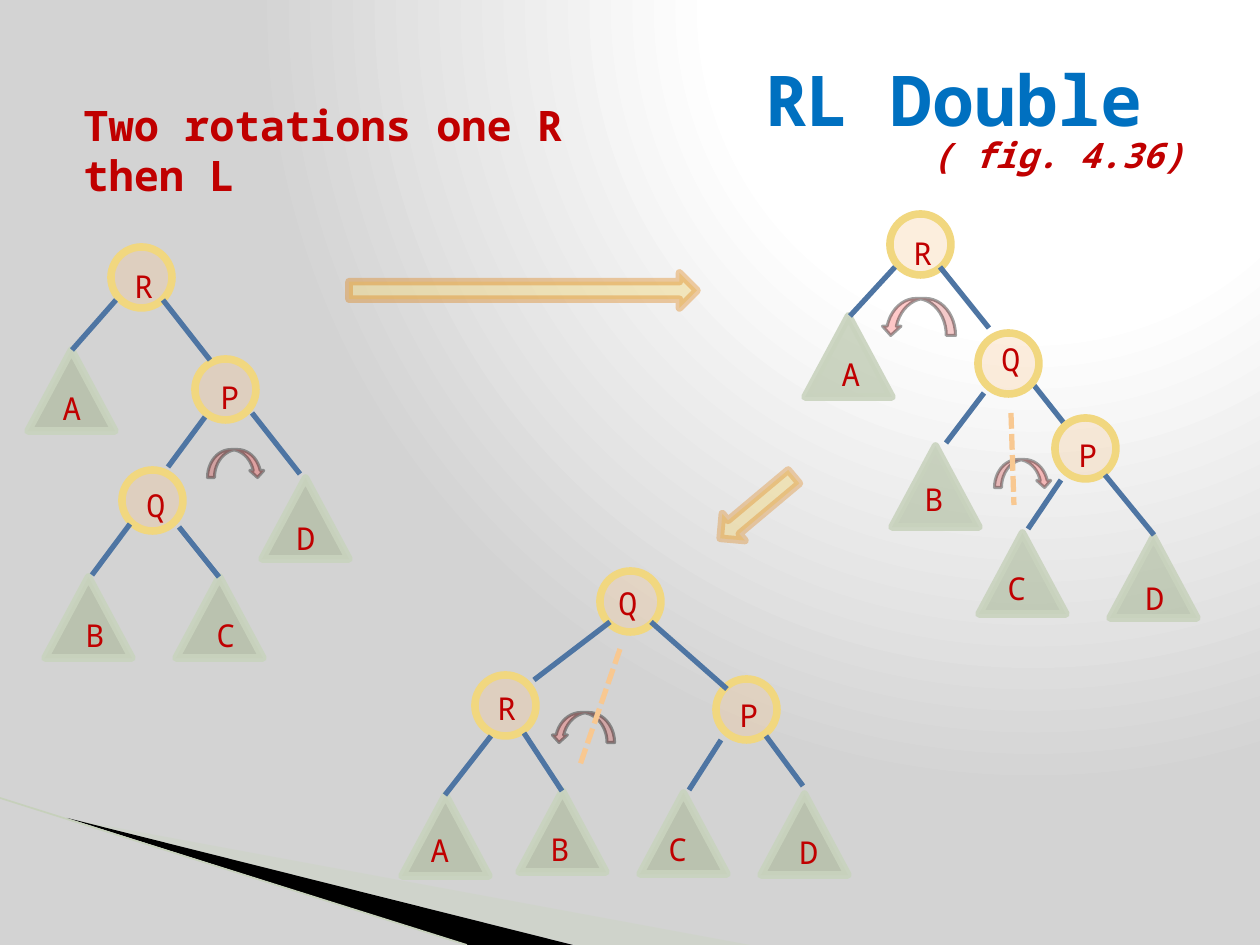
from dataclasses import dataclass

from lxml import etree
from pptx import Presentation
from pptx import util as u
from pptx.dml.color import RGBColor
from pptx.enum import dml, shapes, text
from pptx.oxml import parse_xml
from pptx.oxml.ns import nsdecls, qn

SCALE = 914400 / 126  # EMU in one px
KIND = shapes.MSO_SHAPE


@dataclass(frozen=True)
class Theme:
    font: str = "Noto Sans Mono"
    blue: str = "0070C0"
    red: str = "C00000"
    node: str = "F8C891"
    gold: str = "F1D77F"
    leaf: str = "A5B592"
    rim: str = "C9D3BE"
    edge: str = "4E75A3"
    arrow: str = "DD7E0E"
    turn: str = "FF0000"
    black: str = "000000"
    wedge: str = "CBD4C0"
    hair: str = "C6D0BB"
    light: str = "FFFFFF"
    dark: str = "D3D3D3"
    title: int = 40
    head: int = 24
    note: int = 20
    label: int = 18
    rim_pt: float = 4.33
    edge_pt: float = 3
    turn_pt: float = 1.75


def px(*vals):
    return [u.Emu(round(v * SCALE)) for v in vals]


def rgb(code):
    return RGBColor.from_string(code)


def fade(shape, *alphas):
    """Set the opacity in percent of the fill, then of the line."""
    for tone, pct in zip(shape._element.spPr.iter(qn("a:srgbClr")), alphas):
        etree.SubElement(tone, qn("a:alpha")).set("val", str(pct * 1000))


class Painter:
    def __init__(self, slide, theme):
        self.slide, self.look = slide, theme
        self.items = slide.shapes

    def ground(self):
        t = self.look
        stops = "".join(
            f'<a:gs pos="{pos * 1000}"><a:srgbClr val="{tone}"/></a:gs>'
            for pos, tone in ((0, t.light), (40, t.light), (100, t.dark)))
        self.slide.element.cSld.insert(0, parse_xml(
            f'<p:bg {nsdecls("p", "a")}><p:bgPr><a:gradFill><a:gsLst>{stops}</a:gsLst>'
            '<a:path path="circle"><a:fillToRect l="65000" b="98000"/></a:path>'
            '</a:gradFill><a:effectLst/></p:bgPr></p:bg>'))

    def wedge(self, points, tone, alpha=100):
        pen = self.items.build_freeform(*points[0], scale=SCALE)
        pen.add_line_segments(points[1:])
        shape = pen.convert_to_shape()
        shape.shadow.inherit = False
        shape.fill.solid()
        shape.fill.fore_color.rgb = rgb(tone)
        shape.line.fill.background()
        fade(shape, alpha)

    def shape(self, kind, box, fill, line, width, alphas, turn=0):
        shape = self.items.add_shape(kind, *px(*box))
        shape.shadow.inherit = False
        shape.rotation = turn
        shape.fill.solid()
        shape.fill.fore_color.rgb = rgb(fill)
        shape.line.color.rgb = rgb(line)
        shape.line.width = u.Pt(width)
        fade(shape, *alphas)

    def line(self, ends, tone, width, dash=None):
        line = self.items.add_connector(shapes.MSO_CONNECTOR.STRAIGHT, *px(*ends))
        line.line.color.rgb = rgb(tone)
        line.line.width = u.Pt(width)
        if dash:
            line.line.dash_style = dash
        etree.SubElement(line._element.spPr, qn("a:effectLst"))

    def style(self, run, size, tone, bold=False, slant=False):
        font = run.font
        font.name, font.size, font.color.rgb = self.look.font, u.Pt(size), rgb(tone)
        font.bold, font.italic = bold, slant

    def text(self, box, words, size, bold=False):
        frame = self.items.add_textbox(*px(*box)).text_frame
        frame.word_wrap = True
        frame.auto_size = text.MSO_AUTO_SIZE.SHAPE_TO_FIT_TEXT
        frame.text = words
        self.style(frame.paragraphs[0].runs[0], size, self.look.red, bold)

    def title(self, box, first, second):
        t = self.look
        frame = self.items.add_textbox(*px(*box)).text_frame
        frame.word_wrap = True
        frame.vertical_anchor = text.MSO_ANCHOR.MIDDLE
        frame.margin_top = px(20)[0]
        frame.text = f"{first}\v{second}"
        para = frame.paragraphs[0]
        para.alignment = text.PP_ALIGN.RIGHT
        para.line_spacing = 0.82
        top, low = para.runs
        self.style(top, t.title, t.blue, True)
        self.style(low, t.note, t.red, True, True)

    def tree(self, nodes, leaves, edges):
        """Draw one group; each node and leaf is letter, x, y, label x, label y."""
        t = self.look
        self.items = self.slide.shapes.add_group_shape().shapes
        for _, x, y, *_ in leaves:
            self.shape(KIND.ISOSCELES_TRIANGLE, (x, y, 87, 81), t.leaf, t.rim,
                       t.rim_pt, (54, 90))
        for _, x, y, *_ in nodes:
            self.shape(KIND.OVAL, (x, y, 61, 61), t.node, t.gold, t.rim_pt, (30,))
        for letter, _, _, x, y in nodes + leaves:
            self.text((x, y, 43, 43), letter, t.label)
        for ends in edges:
            self.edge(ends)
        self.items = self.slide.shapes

    def edge(self, ends):
        self.line(ends, self.look.edge, self.look.edge_pt)

    def axis(self, ends):
        self.line(ends, self.look.node, self.look.edge_pt, dml.MSO_LINE.SQUARE_DOT)

    def step(self, box, turn, alpha):
        t = self.look
        self.shape(KIND.RIGHT_ARROW, box, t.gold, t.arrow, t.rim_pt, (47, alpha), turn)

    def spin(self, box, right):
        """Draw the curved arrow of a right or a left rotation."""
        t = self.look
        kind, turn, alphas = ((KIND.CURVED_LEFT_ARROW, 270, (24, 35)) if right else
                              (KIND.CURVED_RIGHT_ARROW, 90, (21, 37)))
        self.shape(kind, box, t.turn, t.black, t.turn_pt, alphas, turn)


START = dict(
    nodes=[("R", 111, 247, 122, 261), ("P", 195, 359, 208, 372), ("Q", 122, 470, 134, 480)],
    leaves=[("A", 28, 350, 50, 383), ("B", 45, 577, 73, 610),
            ("C", 176, 577, 204, 610), ("D", 262, 478, 284, 513)],
    edges=[(116, 300, 72, 350), (163, 300, 210, 360), (252, 413, 300, 474),
           (205, 417, 168, 467), (130, 524, 92, 575), (179, 527, 219, 577)])
MIDDLE = dict(
    nodes=[("R", 890, 214, 901, 228), ("P", 1055, 418, 1066, 430), ("Q", 978, 333, 989, 334)],
    leaves=[("A", 805, 316, 829, 349), ("B", 892, 446, 912, 474),
            ("C", 979, 533, 995, 563), ("D", 1110, 537, 1133, 573)],
    edges=[(895, 267, 850, 316), (940, 267, 989, 328), (1105, 475, 1154, 535),
           (984, 393, 946, 443), (1061, 480, 1028, 529)])
FINAL = dict(
    nodes=[("R", 475, 675, 485, 683), ("P", 716, 679, 727, 690), ("Q", 600, 571, 606, 578)],
    leaves=[("A", 402, 795, 418, 825), ("B", 519, 791, 538, 824),
            ("C", 640, 793, 656, 824), ("D", 761, 794, 787, 827)],
    edges=[(491, 736, 445, 795), (766, 736, 803, 786), (610, 622, 534, 680),
           (721, 740, 689, 790), (651, 622, 727, 689), (524, 733, 562, 791)])


def main():
    deck = Presentation()
    deck.slide_width, deck.slide_height = px(1260, 945)
    t = Theme()
    art = Painter(deck.slides.add_slide(deck.slide_layouts[6]), t)

    art.ground()
    art.wedge([(69, 819), (750, 945), (575, 945)], t.wedge, 40)
    art.wedge([(67, 818), (573, 945), (467, 945)], t.black)
    art.line((0, 798, 467, 945), t.hair, 0.95)

    art.title((63, 38, 1134, 157), "RL Double ", "( fig. 4.36)")
    art.text((71, 93, 595, 63), "Two rotations one R then L", t.head, True)

    art.tree(**START)
    art.spin((222, 435, 28, 57), True)
    art.step((349, 273, 348, 35), 0, 37)
    art.edge((1033, 384, 1067, 427))
    art.tree(**MIDDLE)
    art.step((709, 490, 96, 35), 140, 32)
    art.tree(**FINAL)
    art.spin((1009, 445, 28, 57), True)
    art.spin((568, 696, 30, 63), False)
    art.axis((620, 649, 580, 765))
    art.axis((1011, 413, 1014, 505))
    art.spin((900, 280, 37, 74), False)
    deck.save("out.pptx")


if __name__ == "__main__":
    main()
